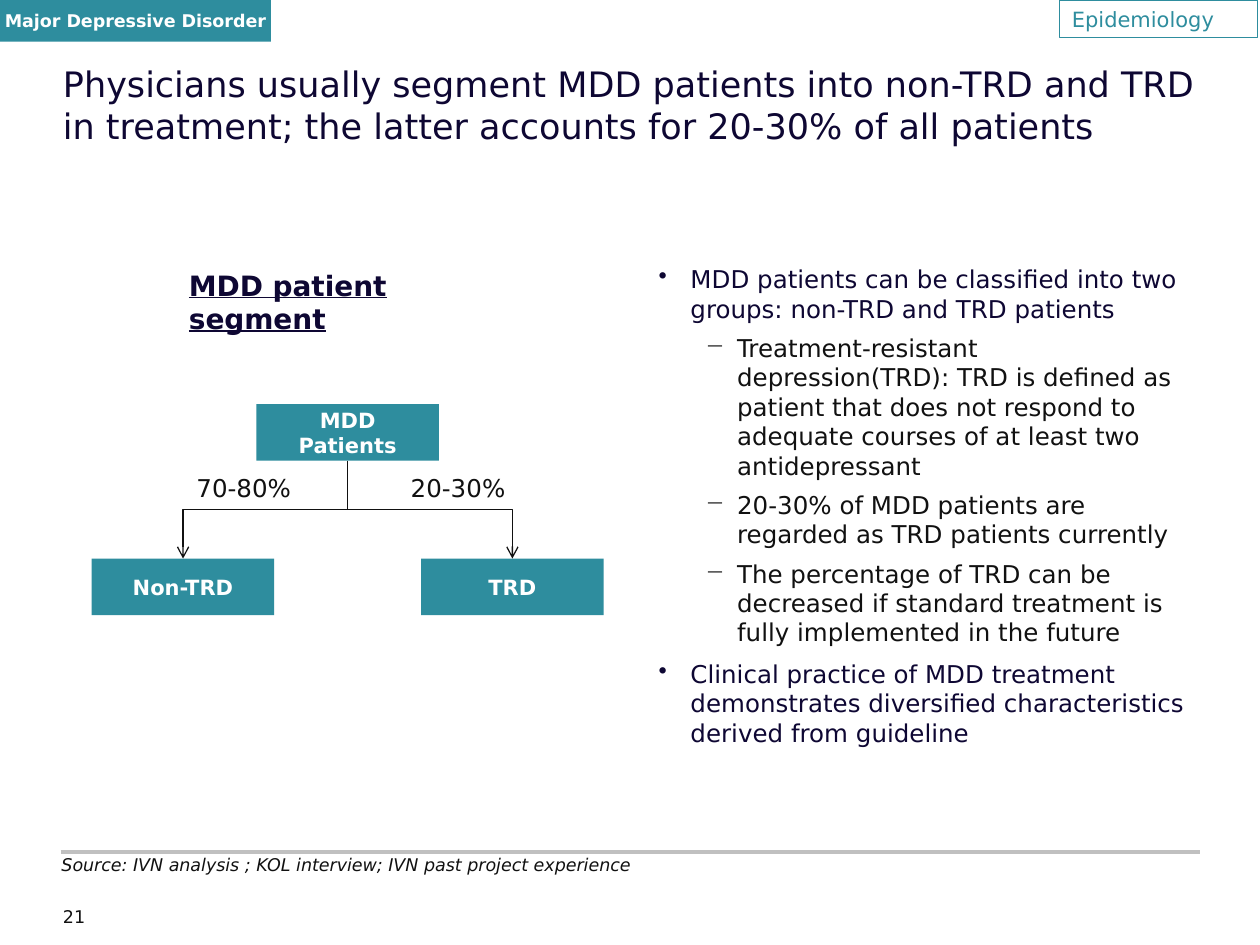
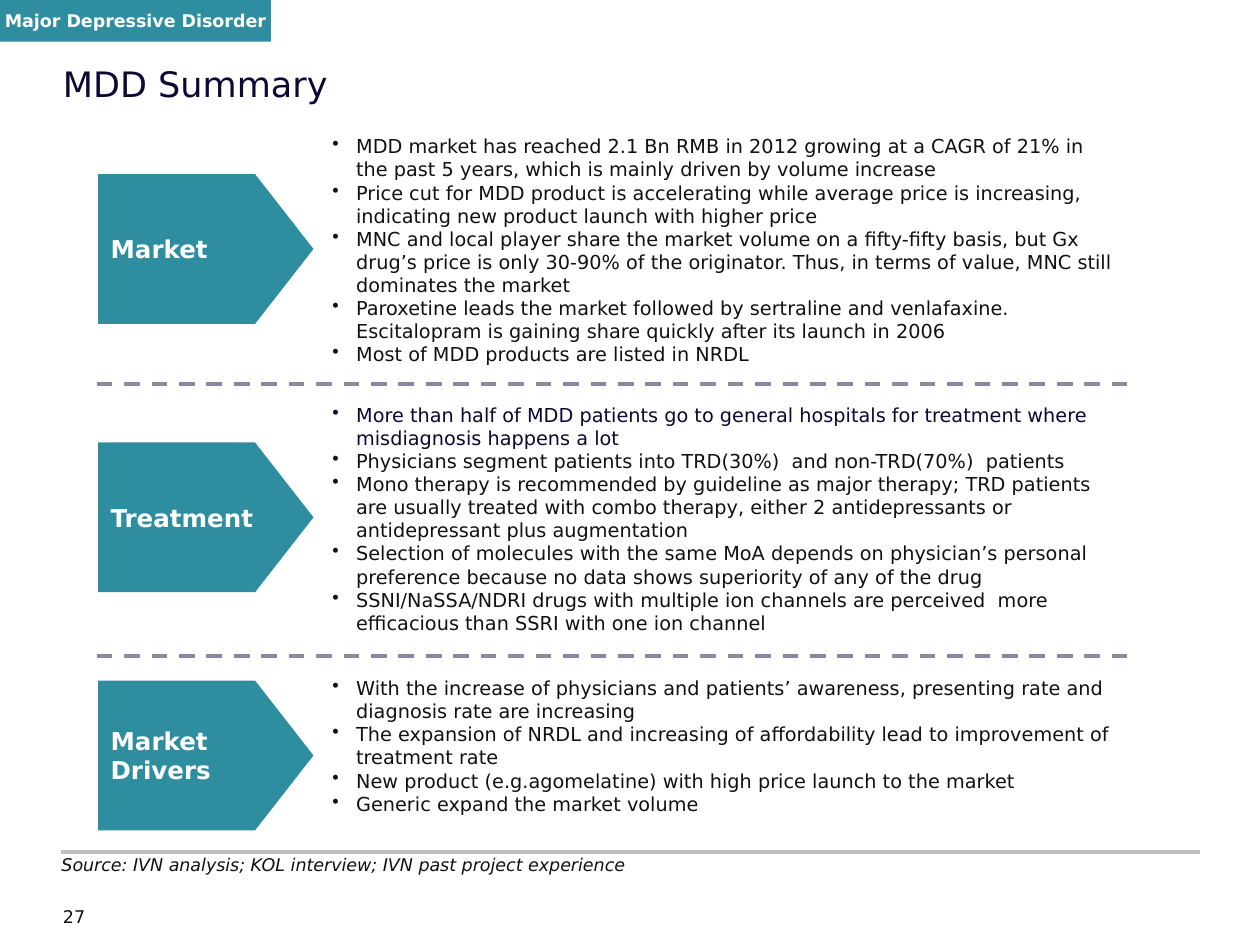
import lxml.etree
import pptx
import pptx.dml.color
import pptx.enum.dml
import pptx.enum.shapes
import pptx.enum.text
import pptx.oxml.ns
import pptx.util

Cm = pptx.util.Cm
Pt = pptx.util.Pt
SHAPE = pptx.enum.shapes.MSO_SHAPE
CONNECTOR = pptx.enum.shapes.MSO_CONNECTOR
ALIGN = pptx.enum.text.PP_ALIGN
ANCHOR = pptx.enum.text.MSO_ANCHOR

FONT = "DejaVu Sans"
TEAL = "2E8D9E"
NAVY = "0E0733"
INK = "111111"
WHITE = "FFFFFF"
SILVER = "C0C0C0"
LAVENDER = "8888A4"


def color(value):
    return pptx.dml.color.RGBColor.from_string(value)


def add_node(parent, tag, **attributes):
    return lxml.etree.SubElement(parent, pptx.oxml.ns.qn(tag), attributes)


class Builder:
    def __init__(self):
        self.deck = pptx.Presentation()
        self.deck.slide_width = Cm(25.4)
        self.deck.slide_height = Cm(19.05)
        self.page = None

    def start_page(self, title, number, source):
        self.page = self.deck.slides.add_slide(self.deck.slide_layouts[6])
        self.line(1.22, 24.2, 17.17, SILVER, 2)
        self.text(1.27, 18.26, 1.22, 0.51, str(number), 10, margin=0)
        self.text(1.27, 1.27, 22.86, 2.54, title, 20, NAVY, margin=0)
        self.text(1.24, 17.22, 11.71, 0.43, source, 10, margin=0, italic=True)
        self.shape(SHAPE.RECTANGLE, 0, 0, 5.46, 0.84, "Major Depressive Disorder", 10, margin=0)

    def set_text(self, box, text, size, ink, align=ALIGN.LEFT, margin=None,
                 bold=False, italic=False, underline=False):
        frame = box.text_frame
        frame.word_wrap = True
        if margin is not None:
            frame.margin_left = frame.margin_right = Cm(margin)
            frame.margin_top = frame.margin_bottom = Cm(margin)
        frame.text = text
        for para in frame.paragraphs:
            para.alignment = align
            for span in para.runs:
                span.font.name = FONT
                span.font.size = Pt(size)
                span.font.color.rgb = color(ink)
                span.font.bold = bold
                span.font.italic = italic
                span.font.underline = underline

    def text(self, left, top, width, height, text, size, ink=INK, **style):
        box = self.page.shapes.add_textbox(Cm(left), Cm(top), Cm(width), Cm(height))
        self.set_text(box, text, size, ink, **style)
        return box

    def shape(self, kind, left, top, width, height, text, size, align=ALIGN.CENTER, margin=None):
        box = self.page.shapes.add_shape(kind, Cm(left), Cm(top), Cm(width), Cm(height))
        box.shadow.inherit = False
        box.fill.solid()
        box.fill.fore_color.rgb = color(TEAL)
        box.line.fill.background()
        box.text_frame.vertical_anchor = ANCHOR.MIDDLE
        self.set_text(box, text, size, WHITE, align, margin, bold=True)
        return box

    def section_label(self, text):
        box = self.page.shapes.add_shape(SHAPE.RECTANGLE, Cm(21.36), Cm(0), Cm(3.99), Cm(0.76))
        box.shadow.inherit = False
        box.fill.background()
        box.line.color.rgb = color(TEAL)
        box.line.width = Pt(0.75)
        box.text_frame.vertical_anchor = ANCHOR.MIDDLE
        self.set_text(box, text, 12, TEAL)

    def bullet(self, para, mark, left, hanging, ink, level=0):
        para.level = level
        for span in para.runs:
            span.font.color.rgb = color(ink)
        properties = para._p.get_or_add_pPr()
        properties.set("marL", str(Cm(left)))
        properties.set("indent", str(-Cm(hanging)))
        add_node(add_node(properties, "a:buClr"), "a:srgbClr", val=ink)
        add_node(properties, "a:buChar", char=mark)

    def style_line(self, connector, ink, weight):
        connector.line.color.rgb = color(ink)
        connector.line.width = Pt(weight)
        add_node(connector._element.spPr, "a:effectLst")

    def line(self, start, end, top, ink, weight, dashed=False):
        connector = self.page.shapes.add_connector(
            CONNECTOR.STRAIGHT, Cm(start), Cm(top), Cm(end), Cm(top))
        self.style_line(connector, ink, weight)
        if dashed:
            connector.line.dash_style = pptx.enum.dml.MSO_LINE.DASH

    def branch(self, parent, child):
        connector = self.page.shapes.add_connector(CONNECTOR.ELBOW, 0, 0, 0, 0)
        connector.begin_connect(parent, 2)
        connector.end_connect(child, 0)
        start_x = parent.left + parent.width // 2
        end_x = child.left + child.width // 2
        start_y = parent.top + parent.height
        drop = child.top - start_y
        run = abs(end_x - start_x)
        connector.left = (start_x + end_x - drop) // 2
        connector.top = start_y + (drop - run) // 2
        connector.width = drop
        connector.height = run
        to_right = end_x > start_x
        properties = connector._element.spPr
        frame = properties.find(pptx.oxml.ns.qn("a:xfrm"))
        frame.set("rot", "16200000" if to_right else "5400000")
        frame.set("flipH", "1" if to_right else "0")
        frame.set("flipV", "0")
        self.style_line(connector, INK, 0.75)
        add_node(properties.find(pptx.oxml.ns.qn("a:ln")), "a:tailEnd", type="arrow")


def build_segments(builder):
    builder.start_page(
        "Physicians usually segment MDD patients into non-TRD and TRD in treatment; "
        "the latter accounts for 20-30% of all patients",
        21, "Source: IVN analysis ; KOL interview; IVN past project experience")
    builder.section_label("Epidemiology")
    builder.text(3.56, 5.28, 7.42, 0.94, "MDD patient segment", 16, NAVY, bold=True, underline=True)

    patients, non_trd, trd = [
        builder.shape(SHAPE.RECTANGLE, left, top, 3.68, 1.14, name, 12)
        for name, left, top in [("MDD Patients", 5.17, 8.15),
                                ("Non-TRD", 1.85, 11.26),
                                ("TRD", 8.49, 11.26)]]
    for group, share, left in [(trd, "20-30%", 8.03), (non_trd, "70-80%", 3.71)]:
        builder.branch(patients, group)
        builder.text(left, 9.42, 2.54, 0.86, share, 14)

    points = [
        (0, "MDD patients can be classified into two groups: non-TRD and TRD patients"),
        (1, "Treatment-resistant depression(TRD): TRD is defined as patient that does not respond "
            "to adequate courses of at least two antidepressant"),
        (1, "20-30% of MDD patients are regarded as TRD patients currently"),
        (1, "The percentage of TRD can be decreased if standard treatment is fully implemented "
            "in the future"),
        (0, "Clinical practice of MDD treatment demonstrates diversified characteristics "
            "derived from guideline"),
    ]
    box = builder.text(13.28, 5.33, 10.77, 10.59, "\n".join(text for _, text in points), 14, margin=0)
    for index, (para, (level, _)) in enumerate(zip(box.text_frame.paragraphs, points)):
        if index:
            para.space_before = Pt(5.6 if level else 7)
        if level:
            builder.bullet(para, "−", 1.58, 0.64, INK, level)
        else:
            builder.bullet(para, "•", 0.64, 0.64, NAVY)


def build_summary(builder):
    builder.start_page("MDD Summary", 27,
                       "Source: IVN analysis; KOL interview; IVN past project experience")
    sections = [
        ("Market", 3.51, 2.59, 4.95, [
            "MDD market has reached 2.1 Bn RMB in 2012 growing at a CAGR of 21% in the past 5 years, "
            "which is mainly driven by volume increase",
            "Price cut for MDD product is accelerating while average price is increasing, "
            "indicating new product launch with higher price",
            "MNC and local player share the market volume on a fifty-fifty basis, but Gx drug’s price "
            "is only 30-90% of the originator. Thus, in terms of value, MNC still dominates the market",
            "Paroxetine leads the market followed by sertraline and venlafaxine. "
            "Escitalopram is gaining share quickly after its launch in 2006",
            "Most of MDD products are listed in NRDL"]),
        ("Treatment", 8.92, 8, 4.95, [
            "More than half of MDD patients go to general hospitals for treatment where "
            "misdiagnosis happens a lot",
            "Physicians segment patients into TRD(30%)  and non-TRD(70%)  patients",
            "Mono therapy is recommended by guideline as major therapy; TRD patients are usually "
            "treated with combo therapy, either 2 antidepressants or antidepressant plus augmentation",
            "Selection of molecules with the same MoA depends on physician’s personal preference "
            "because no data shows superiority of any of the drug",
            "SSNI/NaSSA/NDRI drugs with multiple ion channels are perceived  more efficacious "
            "than SSRI with one ion channel"]),
        ("Market\nDrivers", 13.72, 13.51, 3.07, [
            "With the increase of physicians and patients’ awareness, presenting rate and "
            "diagnosis rate are increasing",
            "The expansion of NRDL and increasing of affordability lead to improvement of treatment rate",
            "New product (e.g.agomelatine) with high price launch to the market",
            "Generic expand the market volume"]),
    ]
    for name, arrow_top, text_top, text_height, points in sections:
        arrow = builder.shape(SHAPE.PENTAGON, 1.98, arrow_top, 4.34, 3.02, name, 14, ALIGN.LEFT)
        arrow.adjustments[0] = 0.39
        box = builder.text(6.45, text_top, 16.31, text_height, "\n".join(points), 11)
        for index, para in enumerate(box.text_frame.paragraphs):
            highlighted = name == "Treatment" and index == 0
            builder.bullet(para, "•", 0.48, 0.48, NAVY if highlighted else INK)
    for top in (7.75, 13.23):
        builder.line(1.95, 22.95, top, LAVENDER, 2.25, dashed=True)


def main():
    builder = Builder()
    build_segments(builder)
    build_summary(builder)
    builder.deck.save("out.pptx")


if __name__ == "__main__":
    main()
